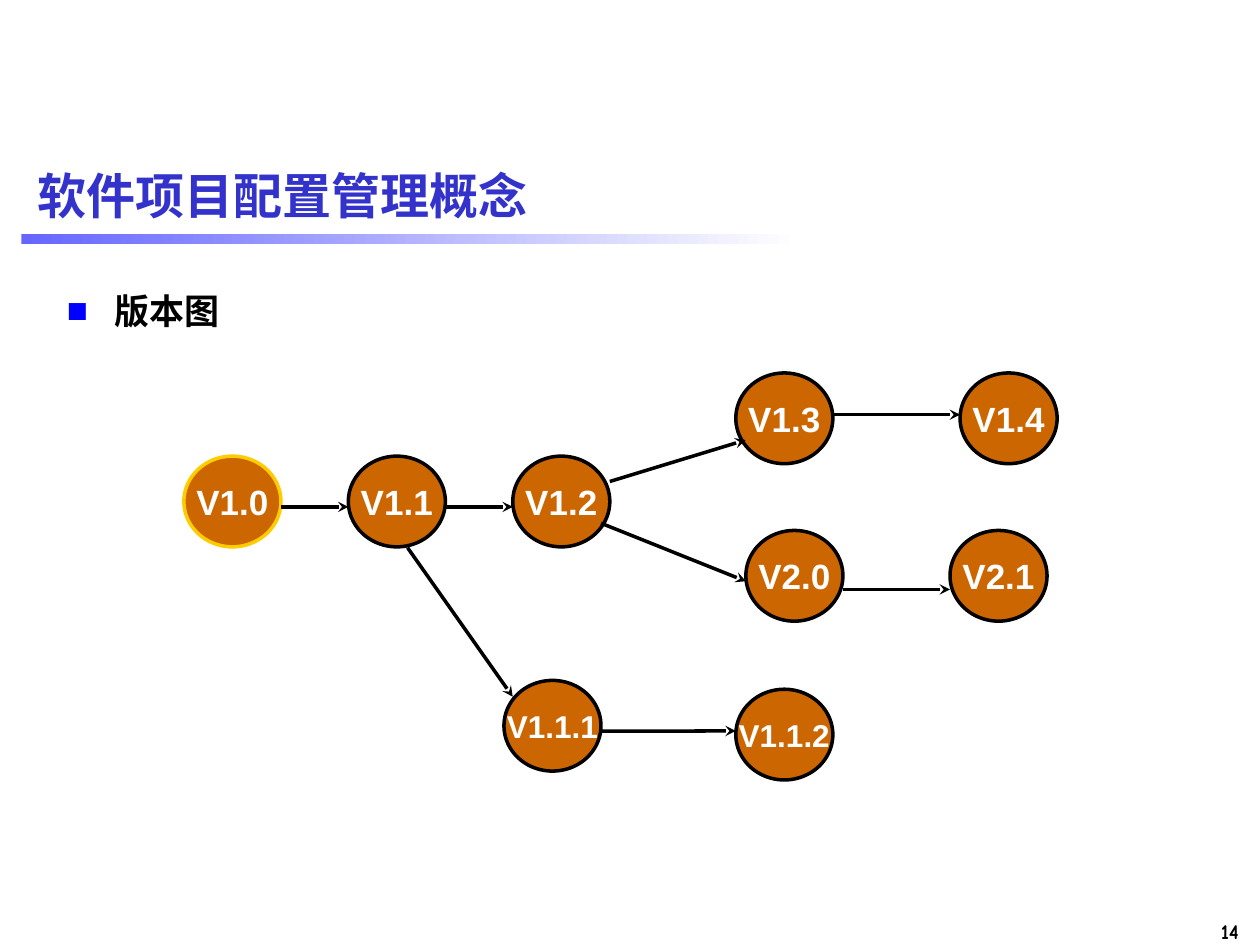
"""Build the version graph slide on software configuration management."""
from dataclasses import dataclass

from lxml import etree
from pptx import Presentation
from pptx.dml.color import RGBColor
from pptx.enum.shapes import MSO_CONNECTOR, MSO_SHAPE
from pptx.enum.text import MSO_ANCHOR, PP_ALIGN
from pptx.oxml.ns import qn
from pptx.util import Inches, Pt

LEFT, CENTER, RIGHT = PP_ALIGN.LEFT, PP_ALIGN.CENTER, PP_ALIGN.RIGHT
TOP, MIDDLE = MSO_ANCHOR.TOP, MSO_ANCHOR.MIDDLE
OVAL, RECTANGLE = MSO_SHAPE.OVAL, MSO_SHAPE.RECTANGLE
STRAIGHT = MSO_CONNECTOR.STRAIGHT


@dataclass(frozen=True)
class Theme:
    """Colours, fonts and sizes of the slide."""
    title: str = "3333CC"
    text: str = "000000"
    bullet: str = "0000FF"
    rule: tuple = ("6666FF", "FFFFFF")
    node: str = "CC6600"
    root_line: str = "FFCC00"
    node_text: str = "FFFFFF"
    latin: str = "Arial"
    chinese: str = "Noto Sans CJK SC"
    number: str = "Comic Neue"
    title_size: int = 28
    body_size: int = 20
    long_size: int = 18
    number_size: int = 12
    line_width: int = 2


THEME = Theme()
SLIDE_SIZE = (10, 7.5)
TITLE, BODY, NUMBER = "软件项目配置管理概念", "版本图", "14"
TITLE_BOX = (0.2, 1.15, 9.61, 0.79)
BODY_BOX = (0.43, 2.25, 9.37, 5.25)
NUMBER_BOX = (9.01, 7.24, 0.92, 0.3)
RULE_BOX = (0.17, 1.86, 6.17, 0.08)
HANGING = 0.38

ROOT = "V1.0"
NODE_SIZE = (0.77, 0.72)
MAIN_ROW, UPPER_ROW, LOWER_ROW = 3.62, 2.96, 4.21
FIRST_COLUMN, COLUMN_STEP = 1.46, 1.305
NODES = {
    **{name: (FIRST_COLUMN + index * COLUMN_STEP, MAIN_ROW)
       for index, name in enumerate((ROOT, "V1.1", "V1.2"))},
    "V1.3": (5.84, UPPER_ROW),
    "V1.4": (7.62, UPPER_ROW),
    "V2.0": (5.92, LOWER_ROW),
    "V2.1": (7.54, LOWER_ROW),
    "V1.1.1": (4, 5.4),
    "V1.1.2": (5.84, 5.47),
}
EDGES = [
    (ROOT, (1, 0.56), "V1.1", (0, 0.56)),
    ("V1.1", (1, 0.56), "V1.2", (0, 0.56)),
    ("V1.2", (1, 0.28), "V1.3", (0.1, 0.74)),
    ("V1.2", (0.91, 0.74), "V2.0", (0, 0.56)),
    ("V1.3", (1, 0.46), "V1.4", (0, 0.46)),
    ("V2.0", (1, 0.65), "V2.1", (0, 0.65)),
    ("V1.1", (0.61, 1.01), "V1.1.1", (0.09, 0.18)),
    ("V1.1.1", (1, 0.56), "V1.1.2", (0, 0.46)),
]


def inches(values):
    return [Inches(value) for value in values]


def place(shape, box):
    for name, value in zip(("left", "top", "width", "height"), inches(box)):
        setattr(shape, name, value)


def write(shape, text, font, size, color, align=LEFT, anchor=TOP, wrap=True):
    frame = shape.text_frame
    frame.word_wrap, frame.vertical_anchor = wrap, anchor
    para = frame.paragraphs[0]
    para.alignment, para.space_before = align, Pt(0)
    span = para.add_run()
    span.text = text
    for name, value in {"name": font, "size": Pt(size), "bold": True}.items():
        setattr(span.font, name, value)
    span.font.color.rgb = RGBColor.from_string(color)
    east_asian = THEME.chinese
    etree.SubElement(span.font._element, qn("a:ea"), typeface=east_asian)
    return para


def add_bullet(para):
    properties = para._p.get_or_add_pPr()
    properties.set("marL", str(Inches(HANGING)))
    properties.set("indent", str(-Inches(HANGING)))
    color = etree.SubElement(properties, qn("a:buClr"))
    etree.SubElement(color, qn("a:srgbClr"), val=THEME.bullet)
    etree.SubElement(properties, qn("a:buFont"), typeface=THEME.latin)
    etree.SubElement(properties, qn("a:buChar"), char="■")


def add_rule(page):
    rule = page.shapes.add_shape(RECTANGLE, *inches(RULE_BOX))
    rule.shadow.inherit = False
    rule.line.fill.background()
    rule.fill.gradient()
    rule.fill.gradient_angle = 0
    for position, (stop, color) in enumerate(zip(rule.fill.gradient_stops, THEME.rule)):
        stop.position = position
        stop.color.rgb = RGBColor.from_string(color)


def draw_line(line, color):
    line.color.rgb = RGBColor.from_string(color)
    line.width = Pt(THEME.line_width)


def add_node(page, name, corner):
    node = page.shapes.add_shape(OVAL, *inches(corner + NODE_SIZE))
    node.shadow.inherit = False
    node.fill.solid()
    node.fill.fore_color.rgb = RGBColor.from_string(THEME.node)
    draw_line(node.line, THEME.root_line if name == ROOT else THEME.text)
    size = THEME.long_size if len(name) > len(ROOT) else THEME.body_size
    write(node, name, THEME.latin, size, THEME.node_text, CENTER, MIDDLE, False)


def point_on(name, shares):
    return inches(start + share * length
                  for start, share, length in zip(NODES[name], shares, NODE_SIZE))


def add_edge(page, source, leaving, target, entering):
    ends = point_on(source, leaving) + point_on(target, entering)
    edge = page.shapes.add_connector(STRAIGHT, *ends)
    draw_line(edge.line, THEME.text)
    etree.SubElement(edge.line._get_or_add_ln(), qn("a:tailEnd"), type="stealth")
    etree.SubElement(edge._element.spPr, qn("a:effectLst"))


def main():
    deck = Presentation()
    deck.slide_width, deck.slide_height = inches(SLIDE_SIZE)
    page = deck.slides.add_slide(deck.slide_layouts[1])
    title, body = page.placeholders
    place(title, TITLE_BOX)
    write(title, TITLE, THEME.latin, THEME.title_size, THEME.title, anchor=MIDDLE)
    place(body, BODY_BOX)
    add_bullet(write(body, BODY, THEME.chinese, THEME.body_size, THEME.text))
    number = page.shapes.add_textbox(*inches(NUMBER_BOX))
    write(number, NUMBER, THEME.number, THEME.number_size, THEME.text, RIGHT)
    add_rule(page)
    for name, corner in NODES.items():
        add_node(page, name, corner)
    for edge in EDGES:
        add_edge(page, *edge)
    deck.save("out.pptx")


if __name__ == "__main__":
    main()
